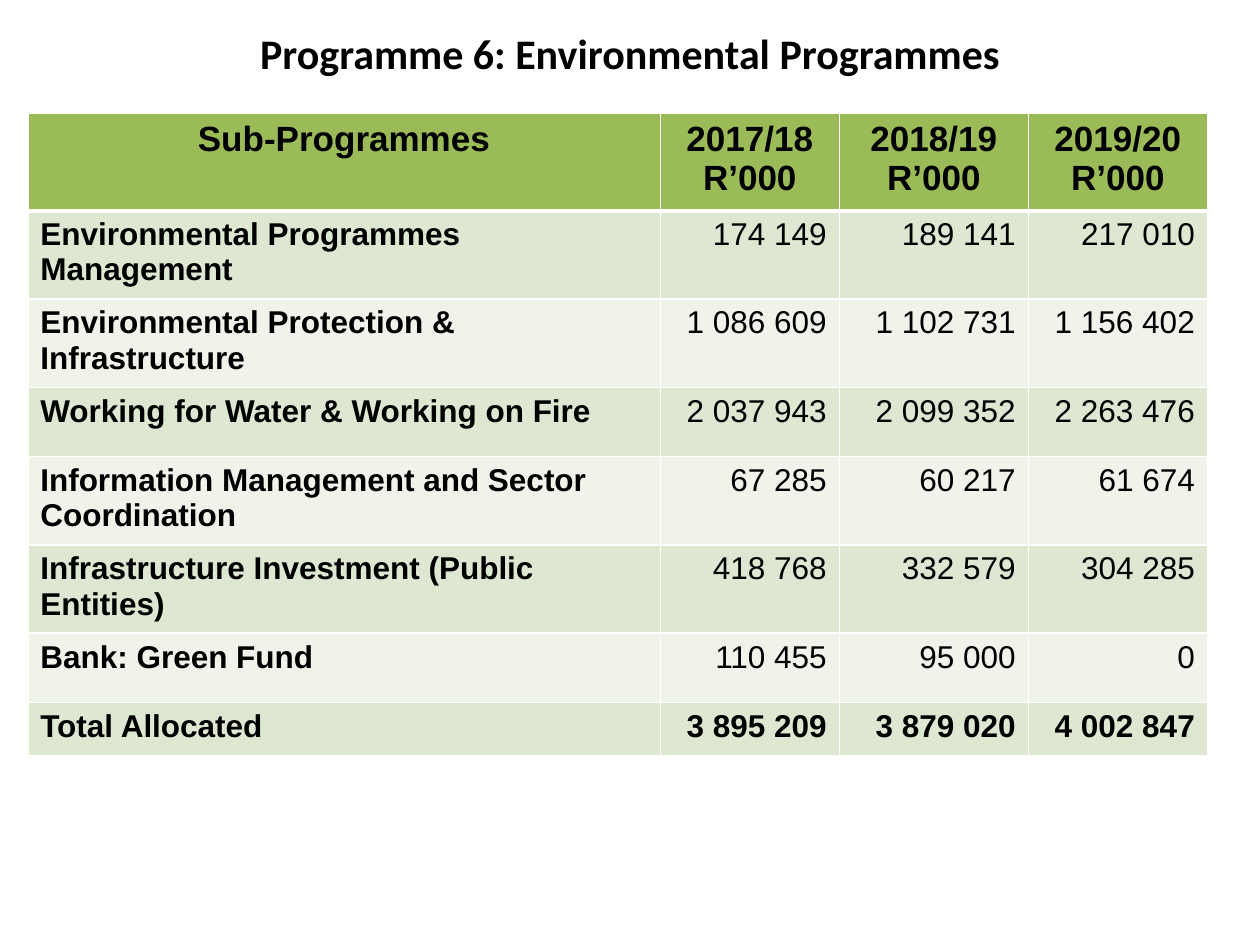
"""Build the slide with the budget table of Programme 6: Environmental Programmes."""
from dataclasses import dataclass

from lxml import etree
from pptx import Presentation
from pptx import util as u
from pptx.dml.color import RGBColor
from pptx.enum import text
from pptx.oxml import ns

BLACK = RGBColor(0x00, 0x00, 0x00)
WHITE = RGBColor(0xFF, 0xFF, 0xFF)
GREEN = RGBColor(0x9B, 0xBB, 0x59)
BANDS = (RGBColor(0xDE, 0xE7, 0xD1), RGBColor(0xEF, 0xF3, 0xEA))

TITLE_FONT = {"name": "Calibri", "size": u.Pt(24), "bold": True}
HEADER_FONT = {"name": "Arial", "size": u.Pt(20), "bold": True}
LABEL_FONT = {"name": "Arial", "size": u.Pt(18), "bold": True}
AMOUNT_FONT = {"name": "Arial", "size": u.Pt(18), "bold": False}

LEFT, CENTER, RIGHT = text.PP_ALIGN.LEFT, text.PP_ALIGN.CENTER, text.PP_ALIGN.RIGHT
COLUMN_WIDTHS = (12.75, 3.61, 3.81, 3.61)
YEARS = ("2017/18", "2018/19", "2019/20")


@dataclass(frozen=True)
class BudgetRow:
    label: str
    amounts: tuple[str, ...]
    height: float
    total: bool = False


BUDGET_ROWS = (
    BudgetRow("Environmental Programmes Management", ("174 149", "189 141", "217 010"), 1.3),
    BudgetRow("Environmental Protection & Infrastructure", ("1 086 609", "1 102 731", "1 156 402"), 1.4),
    BudgetRow("Working for Water & Working on Fire", ("2 037 943", "2 099 352", "2 263 476"), 1.4),
    BudgetRow("Information Management and Sector Coordination", ("67 285", "60 217", "61 674"), 1.7),
    BudgetRow("Infrastructure Investment (Public Entities)", ("418 768", "332 579", "304 285"), 1.4),
    BudgetRow("Bank: Green Fund", ("110 455", "95 000", "0"), 1.4),
    BudgetRow("Total Allocated", ("3 895 209", "3 879 020", "4 002 847"), 1.07, total=True),
)


def write_text(frame, content: str, alignment, font_format: dict) -> None:
    frame.text = content
    for paragraph in frame.paragraphs:
        paragraph.alignment = alignment
        font = paragraph.runs[0].font
        for name, value in font_format.items():
            setattr(font, name, value)
        font.color.rgb = BLACK


def draw_borders(cell, top: float, bottom: float) -> None:
    properties = cell._tc.get_or_add_tcPr()
    for side, width in {"L": 1, "R": 1, "T": top, "B": bottom}.items():
        line = etree.SubElement(properties, ns.qn(f"a:ln{side}"), w=str(u.Pt(width)))
        fill = etree.SubElement(line, ns.qn("a:solidFill"))
        etree.SubElement(fill, ns.qn("a:srgbClr"), val=str(WHITE))


def fill_cell(cell, content: str, alignment, font_format: dict, color: RGBColor,
              top: float = 1, bottom: float = 1) -> None:
    write_text(cell.text_frame, content, alignment, font_format)
    draw_borders(cell, top, bottom)
    cell.fill.solid()
    cell.fill.fore_color.rgb = color


def add_title(slide) -> None:
    shape = slide.shapes.add_textbox(u.Cm(1.27), u.Cm(0), u.Cm(22.86), u.Cm(2.13))
    frame = shape.text_frame
    for name, value in {"word_wrap": True, "vertical_anchor": text.MSO_ANCHOR.MIDDLE}.items():
        setattr(frame, name, value)
    write_text(frame, "Programme 6: Environmental Programmes", CENTER, TITLE_FONT)


def add_budget_table(slide) -> None:
    heights = (1.96, *(row.height for row in BUDGET_ROWS))
    table = slide.shapes.add_table(
        len(heights), len(COLUMN_WIDTHS), u.Cm(0.56), u.Cm(2.29),
        u.Cm(sum(COLUMN_WIDTHS)), u.Cm(sum(heights))).table
    for column, width in zip(table.columns, COLUMN_WIDTHS):
        column.width = u.Cm(width)
    for table_row, height in zip(table.rows, heights):
        table_row.height = u.Cm(height)

    headings = ("Sub-Programmes", *(f"{year}\nR’000" for year in YEARS))
    for cell, heading in zip(table.rows[0].cells, headings):
        fill_cell(cell, heading, CENTER, HEADER_FONT, GREEN, bottom=3)
    for index, row in enumerate(BUDGET_ROWS):
        color = BANDS[index % 2]
        top = 1 if index else 3
        label_cell, *amount_cells = table.rows[index + 1].cells
        fill_cell(label_cell, row.label, LEFT, LABEL_FONT, color, top)
        amount_font = LABEL_FONT if row.total else AMOUNT_FONT
        for cell, amount in zip(amount_cells, row.amounts):
            fill_cell(cell, amount, RIGHT, amount_font, color, top)


def main() -> None:
    presentation = Presentation()
    presentation.slide_width, presentation.slide_height = u.Cm(25.4), u.Cm(19.05)
    slide = presentation.slides.add_slide(presentation.slide_layouts[6])
    add_title(slide)
    add_budget_table(slide)
    presentation.save("out.pptx")


if __name__ == "__main__":
    main()
